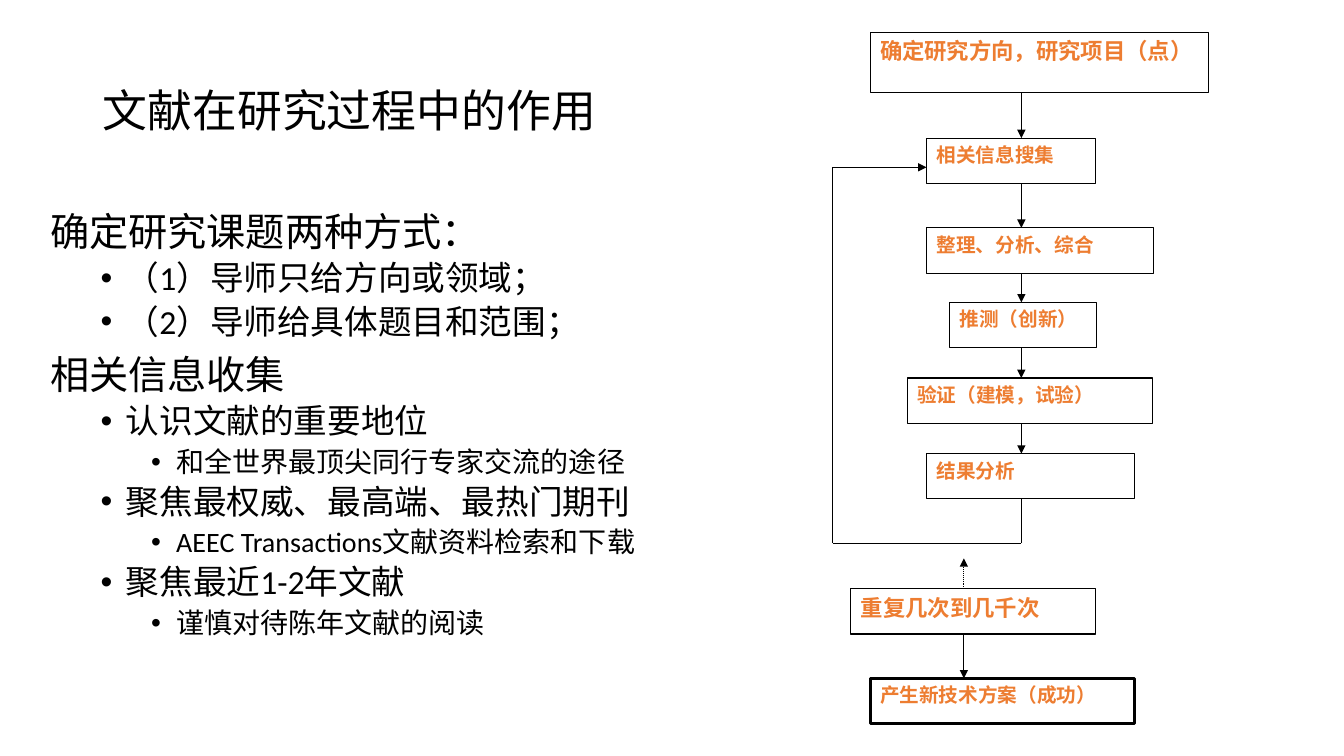
from pptx import Presentation
from pptx.dml.color import RGBColor
from pptx.enum.dml import MSO_LINE
from pptx.enum.shapes import MSO_CONNECTOR, MSO_SHAPE
from pptx.enum.text import MSO_ANCHOR, MSO_AUTO_SIZE, PP_ALIGN
from pptx.oxml.ns import qn
from pptx.util import Pt
from lxml import etree

PX = 9144  # EMU per px, 100 px to the inch
BLACK = RGBColor(0x00, 0x00, 0x00)
WHITE = RGBColor(0xFF, 0xFF, 0xFF)
ORANGE = RGBColor(0xED, 0x7D, 0x31)
STRAIGHT = MSO_CONNECTOR.STRAIGHT
RECTANGLE = MSO_SHAPE.RECTANGLE
DOTTED = MSO_LINE.ROUND_DOT
LEFT, JUSTIFY = PP_ALIGN.LEFT, PP_ALIGN.JUSTIFY
TOP, MIDDLE = MSO_ANCHOR.TOP, MSO_ANCHOR.MIDDLE
NO_AUTOFIT = MSO_AUTO_SIZE.NONE

TITLE = "文献在研究过程中的作用"
LEVEL_SIZES = (28, 24, 20)
OUTLINE = [  # level, text
    (0, "确定研究课题两种方式："),
    (1, "（1）导师只给方向或领域；"),
    (1, "（2）导师给具体题目和范围；"),
    (0, "相关信息收集"),
    (1, "认识文献的重要地位"),
    (2, "和全世界最顶尖同行专家交流的途径"),
    (1, "聚焦最权威、最高端、最热门期刊"),
    (2, "AEEC Transactions文献资料检索和下载"),
    (1, "聚焦最近1-2年文献"),
    (2, "谨慎对待陈年文献的阅读"),
]

MAIN_X, LOOP_X, RESULT_X = 1013, 826, 956
LOOP_TOP, LOOP_BOTTOM = 166, 539
MAIN_STEPS = [  # text, left, top, width, height, text size
    ("确定研究方向，研究项目（点）", 863, 32, 336, 60, 16),
    ("相关信息搜集", 919, 137, 168, 45, 14),
    ("整理、分析、综合", 919, 226, 225, 45, 14),
    ("推测（创新）", 942, 300, 146, 45, 14),
    ("验证（建模，试验）", 900, 375, 243, 45, 14),
    ("结果分析", 919, 450, 206, 45, 14),
]
REPEAT_STEP = ("重复几次到几千次", 844, 584, 243, 45, 16)
FINAL_STEP = ("产生新技术方案（成功）", 863, 673, 262, 45, 14)


def write(para, text, *, size, font="Calibri", color=BLACK, bold=False, align=LEFT):
    para.alignment = align
    span = para.add_run()
    span.text = text
    span.font.size = Pt(size)
    span.font.name = font
    span.font.bold = bold
    span.font.color.rgb = color
    span._r.get_or_add_rPr().set("lang", "zh-CN")


def set_indent(para, level):
    """Hanging indent, with a bullet below the top level."""
    props = para._p.get_or_add_pPr()
    props.set("marL", str((25 + 50 * level) * PX))
    props.set("indent", str(-25 * PX))
    if level:
        font = etree.SubElement(props, qn("a:buFont"))
        font.set("typeface", "Arial")
        etree.SubElement(props, qn("a:buChar")).set("char", "•")
    else:
        etree.SubElement(props, qn("a:buNone"))


def add_title(page):
    title = page.shapes.title
    title.left, title.top = 92 * PX, 40 * PX
    title.width, title.height = 1150 * PX, 145 * PX
    frame = title.text_frame
    frame.auto_size = NO_AUTOFIT
    frame.vertical_anchor = MIDDLE
    para = frame.paragraphs[0]
    para.line_spacing = 0.9
    write(para, TITLE, size=32)


def add_outline(page):
    box = page.shapes.add_textbox(40 * PX, 206 * PX, 1150 * PX, 476 * PX)
    frame = box.text_frame
    frame.word_wrap = True
    for index, (level, text) in enumerate(OUTLINE):
        para = frame.add_paragraph() if index else frame.paragraphs[0]
        para.line_spacing = 0.9
        para.space_before = Pt(5 if level else 10)
        set_indent(para, level)
        write(para, text, size=LEVEL_SIZES[level])


def add_step(page, text, left, top, width, height, size, border=0.75):
    box = page.shapes.add_shape(
        RECTANGLE, left * PX, top * PX, width * PX, height * PX)
    box.shadow.inherit = False
    box.fill.solid()
    box.fill.fore_color.rgb = WHITE
    box.line.color.rgb = BLACK
    box.line.width = Pt(border)
    frame = box.text_frame
    frame.word_wrap = True
    frame.vertical_anchor = TOP
    write(frame.paragraphs[0], text, size=size, font="Times New Roman",
          color=ORANGE, bold=True, align=JUSTIFY)


def add_line(page, start, end, arrow=True, dash=None):
    line = page.shapes.add_connector(
        STRAIGHT, start[0] * PX, start[1] * PX, end[0] * PX, end[1] * PX)
    line.line.color.rgb = BLACK
    line.line.width = Pt(0.75)
    if dash:
        line.line.dash_style = dash
    if arrow:
        stroke = line.line._get_or_add_ln()
        etree.SubElement(stroke, qn("a:tailEnd")).set("type", "triangle")
    etree.SubElement(line._element.spPr, qn("a:effectLst"))


def add_flowchart(page):
    # Main chain of steps
    for step in MAIN_STEPS:
        add_step(page, *step)
    for upper, lower in zip(MAIN_STEPS, MAIN_STEPS[1:]):
        add_line(page, (MAIN_X, upper[2] + upper[4]), (MAIN_X, lower[2]))

    # Loop from the last step back to the second
    corners = [(MAIN_X, 495), (MAIN_X, LOOP_BOTTOM), (LOOP_X, LOOP_BOTTOM),
               (LOOP_X, LOOP_TOP), (919, LOOP_TOP)]
    for start, end in zip(corners, corners[1:]):
        add_line(page, start, end, arrow=end == corners[-1])

    # Repetition and outcome
    add_step(page, *REPEAT_STEP)
    add_step(page, *FINAL_STEP, border=2.25)
    add_line(page, (RESULT_X, 584), (RESULT_X, 554), dash=DOTTED)
    add_line(page, (RESULT_X, 629), (RESULT_X, 673))


def main():
    deck = Presentation()
    deck.slide_width, deck.slide_height = 1333 * PX, 750 * PX
    page = deck.slides.add_slide(deck.slide_layouts[5])
    add_title(page)
    add_flowchart(page)
    add_outline(page)
    deck.save("out.pptx")


if __name__ == "__main__":
    main()
